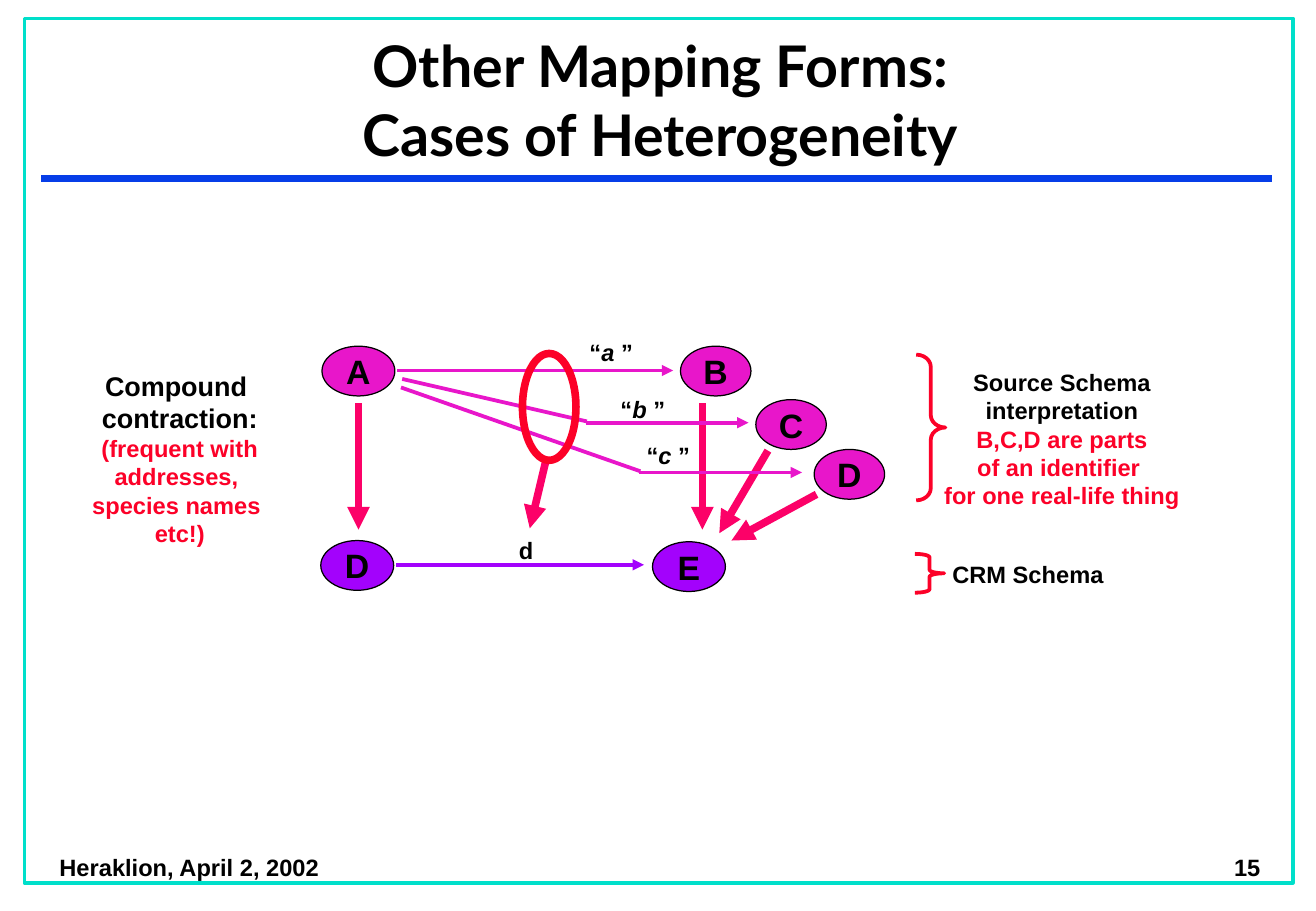
from typing import NamedTuple

from lxml import etree
from pptx import Presentation
from pptx import util as u
from pptx.dml.color import RGBColor
from pptx.enum import shapes, text
from pptx.oxml import ns

COLORS = {
    "black": "000000", "teal": "00DFCA", "blue": "063DE8", "red": "FC0128",
    "pink": "FC0168", "magenta": "E816CA", "violet": "A302FC",
}
ALIGN = text.PP_ALIGN
ANCHOR = text.MSO_ANCHOR


class Run(NamedTuple):
    text: str
    size: float = 14
    color: str = "black"
    italic: bool = False
    font: str = "Arial"


class Line(NamedTuple):
    x1: float
    y1: float
    x2: float
    y2: float
    color: str
    width: float = 2.25
    arrow: bool = True


class Shape(NamedTuple):
    kind: shapes.MSO_SHAPE
    x: float
    y: float
    w: float
    h: float
    line: str
    width: float
    fill: str = ""
    label: str = ""
    adjustment: float = 0


class Box(NamedTuple):
    x: float
    y: float
    w: float
    h: float
    paragraphs: list[list[Run]]
    align: text.PP_ALIGN = ALIGN.CENTER
    anchor: text.MSO_ANCHOR = ANCHOR.TOP
    wrap: bool = False


def rgb(name: str) -> RGBColor:
    return RGBColor.from_string(COLORS[name])


def write(tf, paragraphs: list[list[Run]], align, anchor, wrap: bool) -> None:
    tf.word_wrap = wrap
    tf.vertical_anchor = anchor
    for i, runs in enumerate(paragraphs):
        p = tf.paragraphs[0] if i == 0 else tf.add_paragraph()
        p.alignment = align
        for run in runs:
            for j, part in enumerate(run.text.split("\n")):
                if j:
                    p.add_line_break()
                r = p.add_run()
                r.text = part
                r.font.name = run.font
                r.font.size = u.Pt(run.size)
                r.font.bold = True
                r.font.italic = run.italic
                r.font.color.rgb = rgb(run.color)


def draw_box(s, box: Box) -> None:
    sp = s.shapes.add_textbox(*map(u.Inches, box[:4]))
    write(sp.text_frame, box.paragraphs, box.align, box.anchor, box.wrap)
    if not box.wrap:
        sp.text_frame.auto_size = text.MSO_AUTO_SIZE.SHAPE_TO_FIT_TEXT


def draw_shape(s, shape: Shape) -> None:
    sp = s.shapes.add_shape(shape.kind, *map(u.Inches, shape[1:5]))
    sp.shadow.inherit = False
    sp.line.color.rgb = rgb(shape.line)
    sp.line.width = u.Pt(shape.width)
    if shape.fill:
        sp.fill.solid()
        sp.fill.fore_color.rgb = rgb(shape.fill)
    else:
        sp.fill.background()
    if shape.adjustment:
        sp.adjustments[0] = shape.adjustment
    if shape.label:
        write(sp.text_frame, [[Run(shape.label, 20)]], ALIGN.CENTER, ANCHOR.MIDDLE, False)


def draw_line(s, line: Line) -> None:
    cx = s.shapes.add_connector(shapes.MSO_CONNECTOR.STRAIGHT, *map(u.Inches, line[:4]))
    cx.line.color.rgb = rgb(line.color)
    cx.line.width = u.Pt(line.width)
    if line.arrow:
        etree.SubElement(cx.line._get_or_add_ln(), ns.qn("a:tailEnd"), type="triangle")
    etree.SubElement(cx._element.spPr, ns.qn("a:effectLst"))


def node(label: str, x: float, y: float, w: float, fill: str) -> Shape:
    return Shape(shapes.MSO_SHAPE.OVAL, x, y, w, 0.41, "black", 0.75, fill, label)


def brace(x: float, y: float, h: float, adjustment: float) -> Shape:
    return Shape(shapes.MSO_SHAPE.RIGHT_BRACE, x, y, 0.24, h, "red", 2.25,
                 adjustment=adjustment)


def link_label(letter: str, x: float, y: float) -> Box:
    return Box(x, y, 0.6, 0.34, [[Run("“"), Run(f"{letter} ", italic=True), Run("”")]])


FRAME = Shape(shapes.MSO_SHAPE.RECTANGLE, 0.2, 0.15, 10.44, 7.12, "teal", 2)

LINES = [
    Line(0.34, 1.47, 10.47, 1.47, "blue", 4, False),
    Line(5.78, 3.32, 5.78, 4.36, "pink", 4.5),
    Line(4.5, 3.76, 4.36, 4.35, "pink", 4.5),
    Line(2.95, 3.32, 2.95, 4.36, "pink", 4.5),
    Line(6.72, 4.07, 6.02, 4.45, "pink", 4.5),
    Line(6.32, 3.71, 5.92, 4.39, "pink", 4.5),
    Line(3.27, 3.05, 5.54, 3.05, "magenta"),
    Line(4.82, 3.48, 6.16, 3.48, "magenta"),
    Line(3.31, 3.12, 4.83, 3.47, "magenta", arrow=False),
    Line(5.26, 3.89, 6.6, 3.89, "magenta"),
    Line(3.3, 3.19, 5.27, 3.88, "magenta", arrow=False),
    Line(3.26, 4.65, 5.3, 4.65, "violet"),
]

SHAPES = [
    node("A", 2.65, 2.85, 0.6, "magenta"),
    node("B", 5.6, 2.85, 0.58, "magenta"),
    node("C", 6.22, 3.29, 0.58, "magenta"),
    node("D", 6.7, 3.7, 0.58, "magenta"),
    node("D", 2.64, 4.45, 0.6, "violet"),
    node("E", 5.37, 4.46, 0.6, "violet"),
    brace(7.54, 2.92, 1.2, 0.42),
    brace(7.53, 4.56, 0.32, 0.12),
    Shape(shapes.MSO_SHAPE.OVAL, 4.3, 2.91, 0.44, 0.88, "red", 4.5),
]

BOXES = [
    Box(0.21, 0.14, 10.45, 1.29,
        [[Run("Other Mapping Forms:\nCases of Heterogeneity", 34, font="Lato")]],
        anchor=ANCHOR.BOTTOM, wrap=True),
    Box(0.66, 2.99, 1.64, 1.8, [
        [Run("Compound ", 16)],
        [Run("contraction:", 16)],
        [Run("(frequent with", color="red")],
        [Run("addresses, ", color="red")],
        [Run("species names ", color="red")],
        [Run("etc!)", color="red")],
    ]),
    Box(7.67, 2.98, 2.14, 1.27, [
        [Run("Source Schema")],
        [Run("interpretation")],
        [Run("B,C,D are parts", color="red")],
        [Run("of an identifier ", color="red")],
        [Run("for one real-life thing", color="red")],
    ]),
    link_label("a", 4.73, 2.73),
    link_label("b", 4.99, 3.2),
    link_label("c", 5.2, 3.58),
    Box(4.17, 4.36, 0.32, 0.34, [[Run("d")]]),
    Box(7.71, 4.56, 1.5, 0.34, [[Run("CRM Schema")]]),
    Box(0.39, 6.97, 2.35, 0.33, [[Run("Heraklion, April 2, 2002")]], ALIGN.LEFT),
    Box(8.22, 6.96, 2.25, 0.35, [[Run("15")]], ALIGN.RIGHT, ANCHOR.MIDDLE, True),
]


def main() -> None:
    prs = Presentation()
    prs.slide_width = u.Inches(10.83)
    prs.slide_height = u.Inches(7.5)
    s = prs.slides.add_slide(prs.slide_layouts[6])
    draw_shape(s, FRAME)
    for line in LINES:
        draw_line(s, line)
    for shape in SHAPES:
        draw_shape(s, shape)
    for box in BOXES:
        draw_box(s, box)
    prs.save("out.pptx")


if __name__ == "__main__":
    main()
